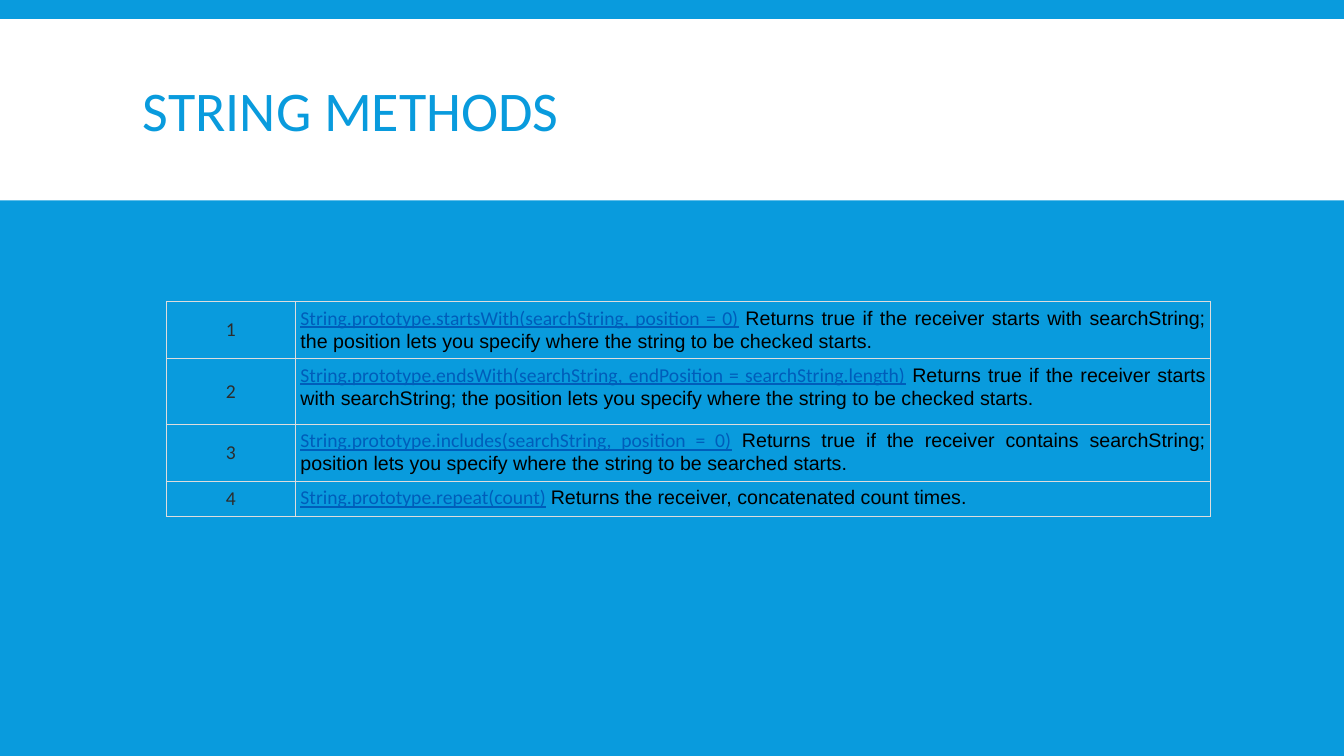
"""Build a slide that lists four string methods in a table."""
import pptx
import pptx.util
import pptx.dml.color
import pptx.enum.shapes
import pptx.enum.text
import pptx.oxml
import pptx.oxml.ns
import lxml.etree

COLORS = {"blue": "099BDD", "white": "FFFFFF", "number": "2C2C2C",
          "method": "005DBA", "text": "000000", "border": "DDDDDD"}
TITLE = "STRING METHODS"
STARTS = ("Returns true if the receiver starts with searchString; "
          "the position lets you specify where the string to be checked starts.")
METHODS = [
    ("startsWith(searchString, position = 0)", STARTS),
    ("endsWith(searchString, endPosition = searchString.length)", STARTS),
    ("includes(searchString, position = 0)",
     "Returns true if the receiver contains searchString; "
     "position lets you specify where the string to be searched starts."),
    ("repeat(count)", "Returns the receiver, concatenated count times."),
]
WIDTH, HEIGHT = pptx.util.Inches(13.33), pptx.util.Inches(7.5)
BAND = (0, 2.53, 100, 24)
TITLE_AREA = (9.9, 4.13, 80.27, 22)
TABLE_CORNER = (12.38, 39.87)
COLUMN_SHARES = (9.6, 68.12)
ROW_SHARES = (7.47, 8.67, 7.47, 4.67)
ALIGN = pptx.enum.text.PP_ALIGN
ANCHOR = pptx.enum.text.MSO_ANCHOR


def across(share):
    return round(WIDTH * share / 100)


def down(share):
    return round(HEIGHT * share / 100)


def place(left, top, width, height):
    return across(left), down(top), across(width), down(height)


def color(name):
    return pptx.dml.color.RGBColor.from_string(COLORS[name])


def write(para, text, size=14, font="Calibri", ink="text", underline=False):
    span = para.add_run()
    span.text = text
    span.font.size = pptx.util.Pt(size)
    span.font.name = font
    span.font.color.rgb = color(ink)
    span.font.underline = underline


def format_cell(cell, anchor, align):
    cell.vertical_anchor = anchor
    cell.margin_left = cell.margin_right = pptx.util.Inches(0.05)
    cell.margin_top = cell.margin_bottom = pptx.util.Inches(0.05)
    properties = cell._tc.get_or_add_tcPr()
    for side in ("a:lnL", "a:lnR", "a:lnT", "a:lnB"):
        line = lxml.etree.SubElement(properties, pptx.oxml.ns.qn(side),
                                     w=str(pptx.util.Pt(0.75)))
        fill = lxml.etree.SubElement(line, pptx.oxml.ns.qn("a:solidFill"))
        lxml.etree.SubElement(fill, pptx.oxml.ns.qn("a:srgbClr"), val=COLORS["border"])
    cell.fill.background()
    para = cell.text_frame.paragraphs[0]
    para.alignment = align
    return para


deck = pptx.Presentation()
deck.slide_width, deck.slide_height = WIDTH, HEIGHT
page = deck.slides.add_slide(deck.slide_layouts[6])
page.background.fill.solid()
page.background.fill.fore_color.rgb = color("blue")

band = page.shapes.add_shape(pptx.enum.shapes.MSO_SHAPE.RECTANGLE, *place(*BAND))
band.shadow.inherit = False
band.fill.solid()
band.fill.fore_color.rgb = color("white")
band.line.fill.background()

title_box = page.shapes.add_textbox(*place(*TITLE_AREA))
title_box.text_frame.word_wrap = True
title_box.text_frame.vertical_anchor = ANCHOR.MIDDLE
title_para = title_box.text_frame.paragraphs[0]
title_para.line_spacing = 0.85
write(title_para, TITLE, size=40, ink="blue")

table = page.shapes.add_table(
    len(METHODS), len(COLUMN_SHARES),
    *place(*TABLE_CORNER, sum(COLUMN_SHARES), sum(ROW_SHARES))).table
table.first_row = table.horz_banding = False
for column, share in zip(table.columns, COLUMN_SHARES):
    column.width = across(share)
for index, ((method, meaning), share) in enumerate(zip(METHODS, ROW_SHARES)):
    table.rows[index].height = down(share)
    number_para = format_cell(table.cell(index, 0), ANCHOR.MIDDLE, ALIGN.CENTER)
    write(number_para, str(index + 1), ink="number")
    method_para = format_cell(table.cell(index, 1), ANCHOR.TOP, ALIGN.JUSTIFY)
    write(method_para, "String.prototype." + method, ink="method", underline=True)
    write(method_para, " ")
    write(method_para, meaning, font="Arial")

deck.save("out.pptx")
